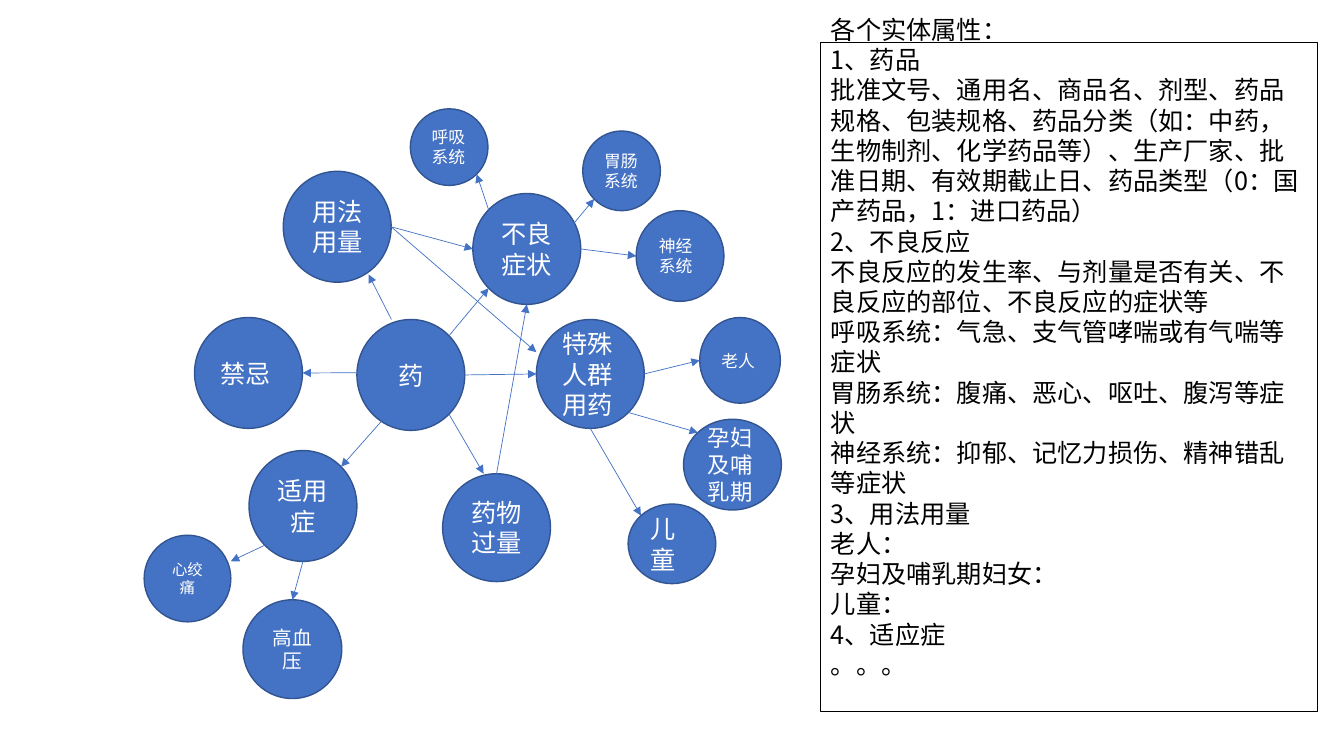
from dataclasses import dataclass

from lxml.etree import SubElement
from pptx import Presentation
from pptx.dml.color import RGBColor
from pptx.enum.shapes import MSO_CONNECTOR, MSO_SHAPE
from pptx.enum.text import MSO_ANCHOR, MSO_AUTO_SIZE, PP_ALIGN
from pptx.oxml.ns import qn
from pptx.util import Inches, Pt


@dataclass(frozen=True)
class Theme:
    font: str = "Noto Sans CJK SC"
    blue: RGBColor = RGBColor(0x44, 0x72, 0xC4)
    outline: RGBColor = RGBColor(0x32, 0x54, 0x91)
    white: RGBColor = RGBColor(0xFF, 0xFF, 0xFF)
    black: RGBColor = RGBColor(0, 0, 0)
    main: int = 18
    large: int = 16
    medium: int = 14
    small: int = 12
    tiny: int = 11
    border: float = 1
    arrow: float = 0.5


THEME = Theme()
CENTER, LEFT = PP_ALIGN.CENTER, PP_ALIGN.LEFT

# Connection sites of an ellipse, in index order, as fractions of its box
NEAR, FAR = 0.146, 0.854
SITES = {
    "top": (0.5, 0), "top left": (NEAR, NEAR), "left": (0, 0.5),
    "bottom left": (NEAR, FAR), "bottom": (0.5, 1),
    "bottom right": (FAR, FAR), "right": (1, 0.5), "top right": (FAR, NEAR),
}

# Entity: left, top, width, height within the diagram, type size, alignment
ENTITIES = {
    "药": (2.14, 2.17, 1.07, 1.1, THEME.main, CENTER),
    "药物过量": (2.99, 3.7, 1.07, 1.07, THEME.main, CENTER),
    "高血压": (1.01, 4.95, 0.98, 0.98, THEME.medium, CENTER),
    "不良症状": (3.29, 0.92, 1.07, 1.1, THEME.main, CENTER),
    "适用症": (1.07, 3.47, 1.07, 1.1, THEME.main, CENTER),
    "用法用量": (1.41, 0.7, 1.07, 1.1, THEME.main, CENTER),
    "禁忌": (0.53, 2.15, 1.07, 1.1, THEME.main, LEFT),
    "特殊人群用药": (3.92, 2.17, 1.07, 1.08, THEME.main, LEFT),
    "胃肠系统": (4.38, 0.3, 0.77, 0.79, THEME.small, LEFT),
    "神经系统": (4.91, 1.09, 0.87, 0.9, THEME.small, LEFT),
    "呼吸系统": (2.67, 0.08, 0.77, 0.76, THEME.small, LEFT),
    "儿童": (4.83, 4.0, 0.87, 0.79, THEME.main, LEFT),
    "老人": (5.54, 2.15, 0.8, 0.85, THEME.small, LEFT),
    "孕妇及哺乳期": (5.38, 3.16, 0.97, 0.9, THEME.large, LEFT),
    "心绞痛": (0.03, 4.31, 0.86, 0.86, THEME.tiny, CENTER),
}

# Each end is an entity and a site name, or a free point as fractions of its box
RELATIONS = [
    ("药", "top right", "不良症状", "bottom left"),
    ("药", "right", "特殊人群用药", "left"),
    ("药", "bottom right", "药物过量", (0.38, 0)),
    ("药", (0.28, 0.86), "适用症", "top right"),
    ("药", (0.16, 0.48), "禁忌", "right"),
    ("药", (0.32, 0), "用法用量", (0.79, 0.93)),
    ("特殊人群用药", "right", "老人", "left"),
    ("特殊人群用药", "bottom right", "孕妇及哺乳期", "top left"),
    ("特殊人群用药", "bottom", "儿童", "top left"),
    ("不良症状", "top left", "呼吸系统", "bottom right"),
    ("不良症状", (0.91, 0.3), "胃肠系统", "bottom left"),
    ("不良症状", "right", "神经系统", "left"),
    ("适用症", "bottom left", "心绞痛", (1, 0.3)),
    ("适用症", "bottom", "高血压", "top"),
    ("用法用量", "right", "特殊人群用药", (0, 0.3)),
    ("药物过量", "top", "不良症状", "bottom"),
    ("用法用量", "right", "不良症状", "left"),
]

ATTRIBUTES = [
    "各个实体属性：",
    "1、药品",
    "批准文号、通用名、商品名、剂型、药品规格、包装规格、药品分类（如：中药，生物制剂、化学药品等）、"
    "生产厂家、批准日期、有效期截止日、药品类型（0：国产药品，1：进口药品）",
    "2、不良反应",
    "不良反应的发生率、与剂量是否有关、不良反应的部位、不良反应的症状等",
    "呼吸系统：气急、支气管哮喘或有气喘等症状",
    "胃肠系统：腹痛、恶心、呕吐、腹泻等症状",
    "神经系统：抑郁、记忆力损伤、精神错乱等症状",
    "3、用法用量",
    "老人：",
    "孕妇及哺乳期妇女：",
    "儿童：",
    "4、适应症",
    "。。。",
]


def format_paragraph(paragraph, size, color, alignment):
    paragraph.alignment = alignment
    for run in paragraph.runs:
        run.font.size = Pt(size)
        run.font.name = THEME.font
        run.font.color.rgb = color
        SubElement(run.font._element, qn("a:ea"), typeface=THEME.font)


def paint(shape, fill, line):
    shape.fill.solid()
    shape.fill.fore_color.rgb = fill
    shape.line.color.rgb = line
    shape.line.width = Pt(THEME.border)


def add_entity(slide, origin, name):
    left, top, width, height, size, alignment = ENTITIES[name]
    entity = slide.shapes.add_shape(
        MSO_SHAPE.OVAL, Inches(origin[0] + left), Inches(origin[1] + top),
        Inches(width), Inches(height))
    entity.shadow.inherit = False
    paint(entity, THEME.blue, THEME.outline)
    entity.text_frame.text = name
    entity.text_frame.vertical_anchor = MSO_ANCHOR.MIDDLE
    format_paragraph(entity.text_frame.paragraphs[0], size, THEME.white, alignment)
    return entity


def site_point(entity, site):
    across, down = SITES.get(site, site)
    return (round(entity.left + across * entity.width),
            round(entity.top + down * entity.height))


def add_relation(slide, source, source_site, target, target_site):
    relation = slide.shapes.add_connector(
        MSO_CONNECTOR.STRAIGHT,
        *site_point(source, source_site), *site_point(target, target_site))
    relation.line.color.rgb = THEME.blue
    relation.line.width = Pt(THEME.arrow)
    SubElement(relation.line._get_or_add_ln(), qn("a:tailEnd"), type="triangle")
    SubElement(relation._element.spPr, qn("a:effectLst"))
    # Join the ends that sit on a connection site
    joints = next(relation._element.iter(qn("p:cNvCxnSpPr")))
    for tag, entity, site in (("a:stCxn", source, source_site),
                              ("a:endCxn", target, target_site)):
        if site in SITES:
            SubElement(joints, qn(tag), id=str(entity.shape_id),
                       idx=str(list(SITES).index(site)))


def build_diagram(slide, left, top):
    entities = {name: add_entity(slide, (left, top), name) for name in ENTITIES}
    for source, source_site, target, target_site in RELATIONS:
        add_relation(slide, entities[source], source_site,
                     entities[target], target_site)


def build_attributes(slide, left, top, width, height):
    panel = slide.placeholders[1]
    panel.left, panel.top = Inches(left), Inches(top)
    panel.width, panel.height = Inches(width), Inches(height)
    paint(panel, THEME.white, THEME.black)
    frame = panel.text_frame
    frame.text = "\n".join(ATTRIBUTES)
    frame.word_wrap = True
    frame.auto_size = MSO_AUTO_SIZE.NONE
    frame.vertical_anchor = MSO_ANCHOR.MIDDLE
    # The deep bottom margin lifts the list above the panel's middle
    frame.margin_bottom = Inches(0.65)
    for paragraph in frame.paragraphs:
        format_paragraph(paragraph, THEME.main, THEME.black, LEFT)
        paragraph.space_before = Pt(0)
        properties = paragraph._p.get_or_add_pPr()
        properties.set("marL", "0")
        properties.set("indent", "0")
        SubElement(properties, qn("a:buNone"))


def main():
    deck = Presentation()
    deck.slide_width, deck.slide_height = Inches(13.33), Inches(7.5)
    slide = deck.slides.add_slide(deck.slide_layouts[1])
    title = slide.shapes.title._element
    title.getparent().remove(title)

    build_diagram(slide, 1.4, 1.0)
    build_attributes(slide, 8.14, 0.42, 4.93, 6.64)
    deck.save("out.pptx")


if __name__ == "__main__":
    main()
